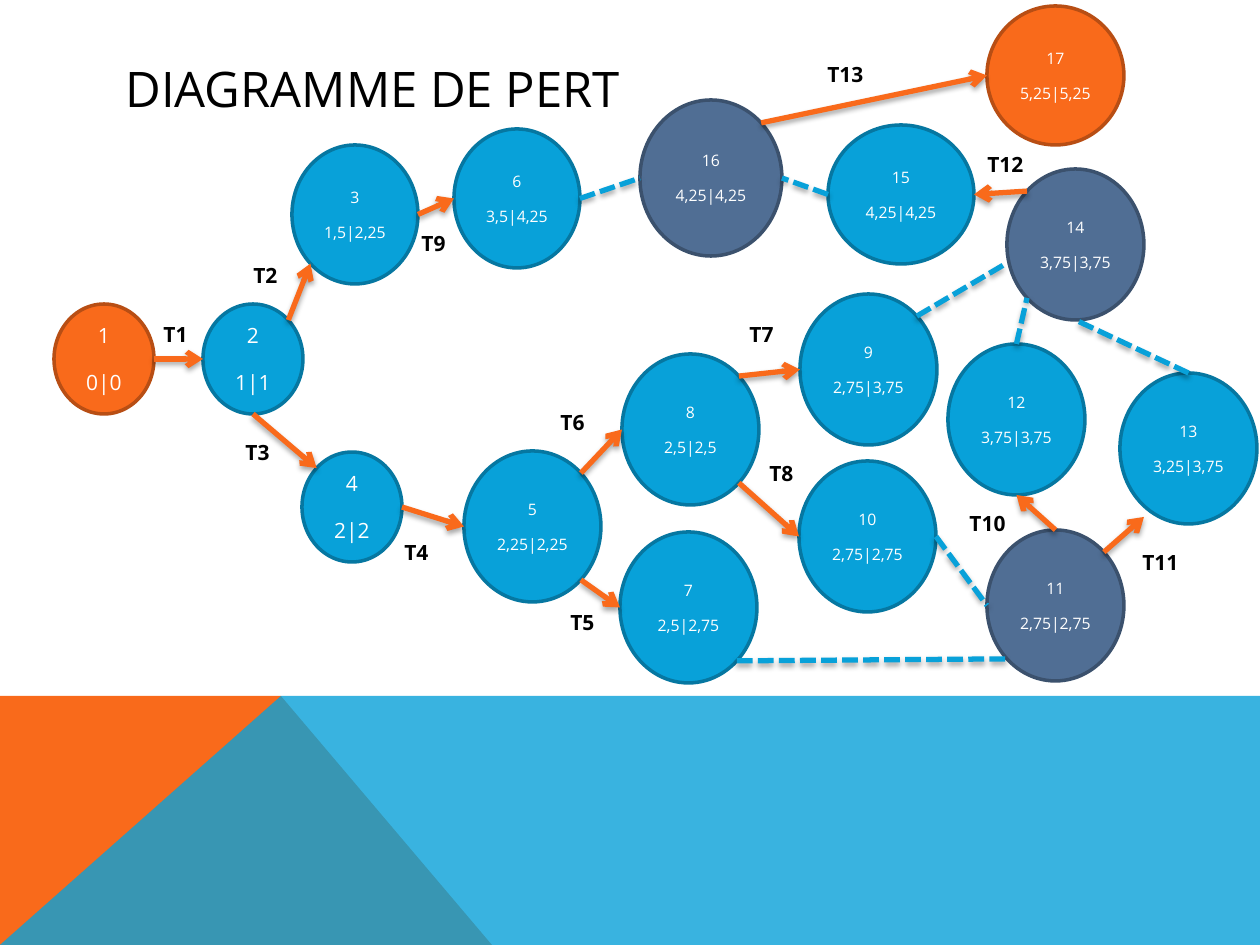
"""Build the PERT diagram slide."""
from math import sqrt

from lxml.etree import SubElement
from pptx import Presentation
from pptx.dml.color import RGBColor
from pptx.enum.dml import MSO_LINE
from pptx.enum.shapes import MSO_CONNECTOR, MSO_SHAPE
from pptx.enum.text import MSO_ANCHOR, PP_ALIGN
from pptx.oxml import parse_xml
from pptx.oxml.ns import nsdecls, qn
from pptx.util import Pt

PX = 914400 // 126
ORANGE, ORANGE_EDGE = RGBColor(0xF9, 0x6A, 0x1B), RGBColor(0xB8, 0x4E, 0x14)
BLUE, BLUE_EDGE = RGBColor(0x08, 0xA1, 0xD9), RGBColor(0x06, 0x77, 0xA1)
SLATE, SLATE_EDGE = RGBColor(0x50, 0x6E, 0x94), RGBColor(0x3B, 0x51, 0x6D)
BLACK, WHITE = RGBColor(0, 0, 0), RGBColor(0xFF, 0xFF, 0xFF)

TITLE = "DIAGRAMME DE PERT"
BANDS = [
    ([(0, 945), (0, 696), (281, 696), (492, 945)], ORANGE, None),
    ([(0, 945), (281, 696), (1260, 696), (1260, 945)], BLUE, 80),
]
SMALL, MEDIUM, LARGE = (100, 110), (126, 139), (137, 151)
MILESTONES = {
    1: ("0|0", 54, 304, SMALL),
    2: ("1|1", 203, 304, SMALL),
    3: ("1,5|2,25", 292, 145, MEDIUM),
    4: ("2|2", 302, 452, SMALL),
    5: ("2,25|2,25", 464, 451, LARGE),
    6: ("3,5|4,25", 454, 129, MEDIUM),
    7: ("2,5|2,75", 620, 532, LARGE),
    8: ("2,5|2,5", 622, 354, LARGE),
    9: ("2,75|3,75", 800, 294, LARGE),
    10: ("2,75|2,75", 799, 461, LARGE),
    11: ("2,75|2,75", 987, 530, LARGE),
    12: ("3,75|3,75", 948, 344, LARGE),
    13: ("3,25|3,75", 1120, 373, LARGE),
    14: ("3,75|3,75", 1007, 169, LARGE),
    15: ("4,25|4,25", 828, 125, (146, 139)),
    16: ("4,25|4,25", 640, 100, (142, 156)),
    17: ("5,25|5,25", 987, 6, (137, 139)),
}
ENDS, MERGES = (1, 17), (11, 14, 16)
TASKS = [
    ("T1", (1, "E"), (2, "W"), 151, 315),
    ("T2", (2, "NE"), (3, "SW"), 241, 256),
    ("T3", (2, "S"), (4, "NW"), 233, 433),
    ("T4", (4, "E"), (5, "W"), 392, 533),
    ("T5", (5, "SE"), (7, "W"), 558, 603),
    ("T6", (5, "NE"), (8, "W"), 548, 403),
    ("T7", (8, "NE"), (9, "W"), 737, 315),
    ("T8", (8, "SE"), (10, "W"), 757, 454),
    ("T9", (3, "E"), (6, "W"), 409, 224),
    ("T10", (11, "N"), (12, "S"), 957, 504),
    ("T11", (11, "NE"), (1144, 517), 1130, 543),
    ("T12", (14, "NW"), (15, "E"), 975, 145),
    ("T13", (16, "NE"), (17, "W"), 815, 55),
]
DUMMIES = [
    ((7, "SE"), (11, "SW")),
    ((10, "E"), (11, "W")),
    ((9, "NE"), (1007, 263)),
    ((12, "N"), (14, "SW")),
    ((13, "N"), (14, "S")),
    ((6, "E"), (16, "W")),
    ((15, "W"), (16, "E")),
]


def px(*lengths):
    return [round(length * PX) for length in lengths]


def paint(shape, fill, edge=None):
    shape.shadow.inherit = False
    shape.fill.solid()
    shape.fill.fore_color.rgb = fill
    if edge is None:
        shape.line.fill.background()
    else:
        shape.line.color.rgb = edge
        shape.line.width = Pt(2)


def style(paragraph, size, font, color, bold=False):
    paragraph.font.size = Pt(size)
    paragraph.font.name = font
    paragraph.font.color.rgb = color
    paragraph.font.bold = bold


def add_band(shapes, corners, color, opacity):
    outline = shapes.build_freeform(*corners[0], scale=PX)
    outline.add_line_segments(corners[1:], close=True)
    band = outline.convert_to_shape()
    paint(band, color)
    if opacity:
        tint = band.fill._xPr.find(qn("a:solidFill"))[0]
        SubElement(tint, qn("a:alpha"), val=str(opacity * 1000))


def add_milestone(shapes, number, dates, left, top, size):
    oval = shapes.add_shape(MSO_SHAPE.OVAL, *px(left, top, *size))
    if number in ENDS:
        paint(oval, ORANGE, ORANGE_EDGE)
    elif number in MERGES:
        paint(oval, SLATE, SLATE_EDGE)
    else:
        paint(oval, BLUE, BLUE_EDGE)
    frame = oval.text_frame
    frame.margin_left = frame.margin_right = 0
    frame.vertical_anchor = MSO_ANCHOR.MIDDLE
    frame.text = f"{number}\n{dates}"
    points = 12 if size == SMALL else 9
    for paragraph in frame.paragraphs:
        paragraph.alignment = PP_ALIGN.CENTER
        style(paragraph, points, "Open Sans", WHITE)
    frame.paragraphs[1].space_before = Pt(round(points * 1.03, 1))


def anchor(place):
    """Return a free point, or the point on a milestone's rim at a compass side."""
    target, side = place
    if not isinstance(side, str):
        return place
    _, left, top, (width, height) = MILESTONES[target]
    dx = ("E" in side) - ("W" in side)
    dy = ("S" in side) - ("N" in side)
    reach = 2 * sqrt(dx * dx + dy * dy)
    return (left + width / 2 + dx * width / reach,
            top + height / 2 + dy * height / reach)


def add_link(shapes, start, end, color):
    link = shapes.add_connector(
        MSO_CONNECTOR.STRAIGHT, *px(*anchor(start), *anchor(end)))
    link.line.color.rgb = color
    link.line.width = Pt(3)
    link._element.spPr.append(parse_xml(
        f'<a:effectLst {nsdecls("a")}>'
        '<a:outerShdw blurRad="39370" dist="22860" dir="5400000" rotWithShape="0">'
        '<a:srgbClr val="000000"><a:alpha val="35000"/></a:srgbClr>'
        '</a:outerShdw></a:effectLst>'))
    return link


def add_task(shapes, name, start, end, left, top):
    arrow = add_link(shapes, start, end, ORANGE)
    SubElement(arrow.line._get_or_add_ln(), qn("a:tailEnd"), type="arrow")
    width = 52 if len(name) == 2 else 66
    label = shapes.add_textbox(*px(left, top, width, 38)).text_frame
    label.word_wrap = False
    label.text = name
    style(label.paragraphs[0], 12, "Noto Sans", BLACK, bold=True)


def main():
    deck = Presentation()
    deck.slide_width, deck.slide_height = px(1260, 945)
    slide = deck.slides.add_slide(deck.slide_layouts[5])
    shapes = slide.shapes
    for band in BANDS:
        add_band(shapes, *band)

    title = shapes.title
    title.left, title.top, title.width, title.height = px(113, 50, 1036, 76)
    title.text_frame.text = TITLE
    title.text_frame.vertical_anchor = MSO_ANCHOR.MIDDLE
    heading = title.text_frame.paragraphs[0]
    heading.alignment = PP_ALIGN.LEFT
    style(heading, 28, "Open Sans", BLACK)

    for number, milestone in MILESTONES.items():
        add_milestone(shapes, number, *milestone)
    for start, end in DUMMIES:
        add_link(shapes, start, end, BLUE).line.dash_style = MSO_LINE.SQUARE_DOT
    for task in TASKS:
        add_task(shapes, *task)
    deck.save("out.pptx")


main()
